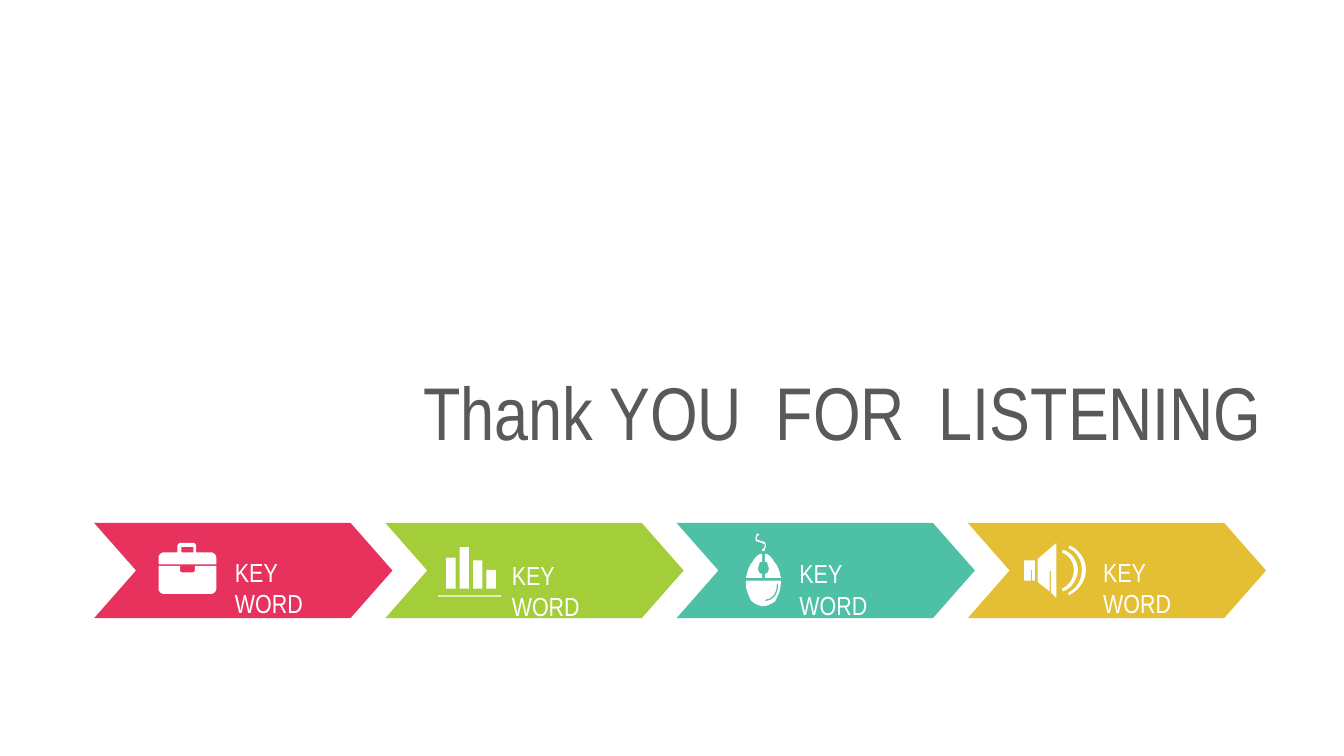
import pptx
import pptx.util
import pptx.dml.color
import pptx.enum.shapes
import pptx.enum.text
from dataclasses import dataclass

Inches = pptx.util.Inches
Pt = pptx.util.Pt


@dataclass(frozen=True)
class Theme:
    font: str = "Arial Narrow"
    title_size: int = 40
    title_spacing: int = 25
    label_size: int = 14
    background: str = "FFFFFF"
    title: str = "595959"
    light: str = "FFFFFF"
    red: str = "E6325C"
    green: str = "A3CD39"
    teal: str = "4EC0A5"
    yellow: str = "E4BE33"


THEME = Theme()
CURVE_STEPS = 8

# Icon outlines: a pair is a corner, six numbers are a cubic curve
BRIEFCASE = [
    [[(1.45, 4.21), (1.45, 4.25), (1.45, 4.25, 1.44, 4.26, 1.43, 4.26),
      (1.36, 4.26), (1.35, 4.26, 1.34, 4.25, 1.34, 4.25), (1.34, 4.21),
      (1.18, 4.21), (1.18, 4.38), (1.18, 4.4, 1.2, 4.42, 1.22, 4.42),
      (1.57, 4.42), (1.59, 4.42, 1.61, 4.4, 1.61, 4.38), (1.61, 4.21)]],
    [[(1.57, 4.11), (1.46, 4.11), (1.46, 4.07),
      (1.46, 4.05, 1.45, 4.04, 1.44, 4.04), (1.35, 4.04),
      (1.33, 4.04, 1.32, 4.05, 1.32, 4.07), (1.32, 4.11), (1.22, 4.11),
      (1.2, 4.11, 1.18, 4.13, 1.18, 4.15), (1.18, 4.2), (1.61, 4.2),
      (1.61, 4.15), (1.61, 4.13, 1.59, 4.11, 1.57, 4.11)],
     [(1.35, 4.07), (1.44, 4.07), (1.44, 4.11), (1.35, 4.11)]],
]
MOUSE = [
    # Right button, left button
    [[(5.71, 4.19), (5.71, 4.2, 5.72, 4.22, 5.72, 4.23),
      (5.72, 4.25, 5.71, 4.27, 5.69, 4.27), (5.69, 4.3), (5.81, 4.3),
      (5.8, 4.25, 5.79, 4.21, 5.76, 4.18),
      (5.74, 4.14, 5.71, 4.12, 5.69, 4.12), (5.69, 4.18),
      (5.7, 4.18, 5.71, 4.18, 5.71, 4.19)]],
    [[(5.64, 4.23), (5.64, 4.22, 5.65, 4.2, 5.65, 4.19),
      (5.65, 4.18, 5.66, 4.18, 5.67, 4.18), (5.67, 4.12),
      (5.65, 4.12, 5.62, 4.14, 5.6, 4.18),
      (5.57, 4.21, 5.56, 4.26, 5.55, 4.3), (5.67, 4.3), (5.67, 4.27),
      (5.65, 4.27, 5.64, 4.25, 5.64, 4.23)]],
    # Palm rest with its highlight
    [[(5.55, 4.32), (5.55, 4.34), (5.55, 4.39, 5.57, 4.43, 5.59, 4.47),
      (5.61, 4.49, 5.65, 4.51, 5.68, 4.51),
      (5.71, 4.51, 5.75, 4.49, 5.77, 4.47),
      (5.79, 4.43, 5.81, 4.39, 5.81, 4.34), (5.81, 4.32)],
     [(5.7, 4.47), (5.69, 4.47), (5.7, 4.46),
      (5.74, 4.46, 5.78, 4.41, 5.78, 4.36), (5.78, 4.35), (5.79, 4.34),
      (5.79, 4.36), (5.79, 4.42, 5.75, 4.47, 5.7, 4.47)]],
    # Cable
    [[(5.63, 4.03), (5.65, 4.03, 5.66, 4.04, 5.67, 4.04),
      (5.67, 4.04, 5.68, 4.05, 5.69, 4.05),
      (5.69, 4.06, 5.69, 4.08, 5.67, 4.09), (5.67, 4.1), (5.69, 4.1),
      (5.69, 4.08, 5.7, 4.07, 5.7, 4.05),
      (5.7, 4.05, 5.69, 4.04, 5.69, 4.03),
      (5.67, 4.03, 5.66, 4.03, 5.65, 4.02), (5.64, 4.02), (5.63, 4.01),
      (5.63, 4, 5.63, 3.99, 5.65, 3.98), (5.64, 3.97), (5.63, 3.97),
      (5.63, 3.99, 5.62, 4, 5.62, 4.01),
      (5.62, 4.02, 5.63, 4.03, 5.63, 4.03)]],
]
SPEAKER = [
    # Outer wave, inner wave
    [[(8.05, 4.24), (8.05, 4.17, 8.01, 4.1, 7.95, 4.08), (7.96, 4.06),
      (8.03, 4.09, 8.08, 4.16, 8.08, 4.24),
      (8.08, 4.33, 8.02, 4.4, 7.95, 4.43), (7.95, 4.41),
      (8.01, 4.38, 8.05, 4.32, 8.05, 4.24)]],
    [[(7.99, 4.24), (7.99, 4.18, 7.95, 4.13, 7.9, 4.11), (7.91, 4.09),
      (7.97, 4.11, 8.02, 4.17, 8.02, 4.24),
      (8.02, 4.31, 7.97, 4.38, 7.91, 4.4), (7.9, 4.38),
      (7.95, 4.36, 7.99, 4.31, 7.99, 4.24)]],
    # Cone, magnet
    [[(7.72, 4.16), (7.72, 4.33), (7.81, 4.4), (7.81, 4.25), (7.82, 4.25),
      (7.82, 4.41), (7.86, 4.45), (7.86, 4.04)]],
    [[(7.62, 4.17), (7.62, 4.32), (7.67, 4.32), (7.67, 4.24), (7.68, 4.24),
      (7.68, 4.32), (7.7, 4.32), (7.7, 4.17)]],
]


def paint(shape, color):
    shape.shadow.inherit = False
    shape.fill.solid()
    shape.fill.fore_color.rgb = pptx.dml.color.RGBColor.from_string(color)
    shape.line.fill.background()


def style_text(paragraph, size, color):
    for run in paragraph.runs:
        run.font.name = THEME.font
        run.font.size = Pt(size)
        run.font.color.rgb = pptx.dml.color.RGBColor.from_string(color)


def add_preset(shapes, kind, left, top, width, height, color):
    shape = shapes.add_shape(kind, Inches(left), Inches(top),
                             Inches(width), Inches(height))
    paint(shape, color)
    return shape


def trace(contour):
    """Turn corners and cubic curves into a list of points in EMU."""
    points = []
    for step in contour:
        if len(step) == 2:
            points.append(step)
            continue
        start, controls = points[-1], (step[:2], step[2:4], step[4:])
        for index in range(1, CURVE_STEPS + 1):
            t = index / CURVE_STEPS
            weights = ((1 - t) ** 3, 3 * t * (1 - t) ** 2,
                       3 * t * t * (1 - t), t ** 3)
            points.append(tuple(
                sum(weight * point[axis] for weight, point
                    in zip(weights, (start, *controls)))
                for axis in (0, 1)))
    return [(Inches(x), Inches(y)) for x, y in points]


def add_outline_icon(shapes, icon):
    for contours in icon:
        first, *others = [trace(contour) for contour in contours]
        builder = shapes.build_freeform(*first[0])
        builder.add_line_segments(first[1:])
        for points in others:
            builder.move_to(*points[0])
            builder.add_line_segments(points[1:])
        paint(builder.convert_to_shape(), THEME.light)


def add_bar_icon(shapes):
    rectangle = pptx.enum.shapes.MSO_SHAPE.RECTANGLE
    add_preset(shapes, rectangle, 3.26, 4.43, 0.47, 0.01, THEME.light)
    for index, height in enumerate((0.23, 0.31, 0.21, 0.14)):
        add_preset(shapes, rectangle, 3.32 + 0.1 * index, 4.38 - height,
                   0.07, height, THEME.light)


def add_label(shapes, left, top):
    box = shapes.add_textbox(Inches(left), Inches(top), Inches(1), Inches(0.34))
    box.text_frame.word_wrap = True
    box.text_frame.text = "KEY WORD"
    style_text(box.text_frame.paragraphs[0], THEME.label_size, THEME.light)


def add_title(slide):
    title = slide.shapes.title
    title.left, title.top = Inches(1.93), Inches(2.99)
    title.width, title.height = Inches(7.56), Inches(0.45)
    frame = title.text_frame
    frame.text = "Thank YOU  FOR  LISTENING"
    frame.word_wrap = True
    frame.auto_size = pptx.enum.text.MSO_AUTO_SIZE.NONE
    frame.vertical_anchor = pptx.enum.text.MSO_ANCHOR.TOP
    paragraph = frame.paragraphs[0]
    paragraph.alignment = pptx.enum.text.PP_ALIGN.RIGHT
    paragraph.line_spacing = Pt(THEME.title_spacing)
    style_text(paragraph, THEME.title_size, THEME.title)


def main():
    # Widescreen slide, 16 to 9
    presentation = pptx.Presentation()
    presentation.slide_width = Inches(10)
    presentation.slide_height = Inches(10 * 9 / 16)
    slide = presentation.slides.add_slide(presentation.slide_layouts[5])
    slide.background.fill.solid()
    slide.background.fill.fore_color.rgb = (
        pptx.dml.color.RGBColor.from_string(THEME.background))
    add_title(slide)

    # Row of arrows: colour, icon, label position
    arrows = [(THEME.red, BRIEFCASE, 1.65, 4.09),
              (THEME.green, None, 3.71, 4.11),
              (THEME.teal, MOUSE, 5.85, 4.1),
              (THEME.yellow, SPEAKER, 8.11, 4.09)]
    pitch = (7.2 - 0.7) / 3
    for index, (color, icon, label_left, label_top) in enumerate(arrows):
        shapes = slide.shapes.add_group_shape().shapes
        arrow = add_preset(shapes, pptx.enum.shapes.MSO_SHAPE.CHEVRON,
                           0.7 + pitch * index, 3.89, 2.22, 0.71, color)
        arrow.adjustments[0] = 0.44
        if icon:
            add_outline_icon(shapes, icon)
        else:
            add_bar_icon(shapes)
        add_label(shapes, label_left, label_top)

    presentation.save("out.pptx")


if __name__ == "__main__":
    main()
